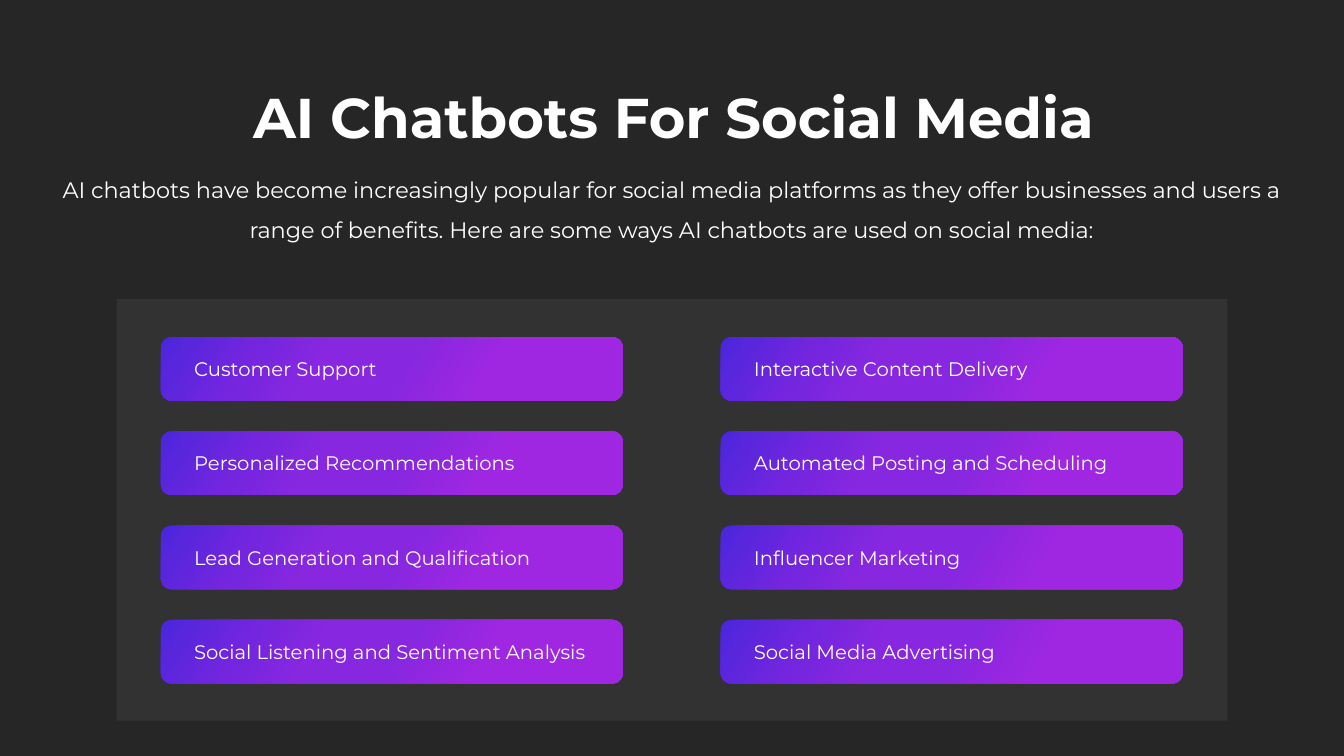
from lxml.etree import SubElement
from pptx import Presentation
from pptx.dml.color import RGBColor
from pptx.enum.shapes import MSO_SHAPE
from pptx.enum.text import MSO_ANCHOR, MSO_AUTO_SIZE, PP_ALIGN
from pptx.oxml import parse_xml
from pptx.oxml.ns import nsdecls, qn
from pptx.util import Inches, Pt

COLORS = {"back": "262626", "white": "FFFFFF", "blue": "4826DC", "indigo": "5826DD",
          "violet": "7326DE", "purple": "8827E0", "orchid": "A027E1"}
STOPS = [(0, "blue"), (6, "indigo"), (20, "violet"), (35, "purple"),
         (52, "purple"), (71, "orchid"), (100, "orchid")]
USES = [
    ["Customer Support", "Personalized Recommendations",
     "Lead Generation and Qualification", "Social Listening and Sentiment Analysis"],
    ["Interactive Content Delivery", "Automated Posting and Scheduling",
     "Influencer Marketing", "Social Media Advertising"],
]


def color(name):
    return RGBColor.from_string(COLORS[name])


def write(frame, text, size=14, bold=False, align=PP_ALIGN.LEFT,
          anchor=MSO_ANCHOR.TOP, lead=1.0, indent=0):
    frame.word_wrap = True
    frame.auto_size = MSO_AUTO_SIZE.NONE
    frame.vertical_anchor = anchor
    frame.text = text
    para = frame.paragraphs[0]
    para.alignment = align
    para.line_spacing = lead
    para.space_before = Pt(0)
    props = para._p.get_or_add_pPr()
    props.set("marL", str(Inches(indent)))
    props.set("indent", "0")
    SubElement(props, qn("a:buNone"))
    font = para.runs[0].font
    font.name = "Montserrat"
    font.size = Pt(size)
    font.bold = bold
    font.color.rgb = color("white")


class Deck:
    def __init__(self, width, height):
        self.show = Presentation()
        self.show.slide_width = Inches(width)
        self.show.slide_height = Inches(height)
        self.slide = self.show.slides.add_slide(self.show.slide_layouts[1])
        fill = self.slide.background.fill
        fill.solid()
        fill.fore_color.rgb = color("back")

    def area(self, left, top, width, height):
        col = self.show.slide_width / 100
        row = self.show.slide_height / 100
        return [round(n) for n in (left * col, top * row, width * col, height * row)]

    def holder(self, index, box, text, **style):
        shape = self.slide.placeholders[index]
        shape.left, shape.top, shape.width, shape.height = self.area(*box)
        write(shape.text_frame, text, align=PP_ALIGN.CENTER, **style)

    def block(self, kind, box):
        shape = self.slide.shapes.add_shape(kind, *self.area(*box))
        shape.shadow.inherit = False
        shape.line.fill.background()
        return shape

    def panel(self, box, alpha):
        shape = self.block(MSO_SHAPE.RECTANGLE, box)
        shape.fill.solid()
        shape.fill.fore_color.rgb = color("white")
        tint = shape._element.spPr.find(".//" + qn("a:srgbClr"))
        SubElement(tint, qn("a:alpha"), val=str(alpha * 1000))

    def card(self, box, text):
        shape = self.block(MSO_SHAPE.ROUNDED_RECTANGLE, box)
        stops = "".join(f'<a:gs pos="{pos * 1000}"><a:srgbClr val="{COLORS[name]}"/></a:gs>'
                        for pos, name in STOPS)
        blend = parse_xml(f'<a:gradFill {nsdecls("a")} rotWithShape="1"><a:gsLst>{stops}</a:gsLst>'
                          f'<a:lin ang="{33 * 60000}" scaled="0"/></a:gradFill>')
        shape._element.spPr.find(qn("a:prstGeom")).addnext(blend)
        write(shape.text_frame, text, anchor=MSO_ANCHOR.MIDDLE, indent=0.2)


def main():
    deck = Deck(13.33, 7.5)
    deck.holder(0, (9.5, 10.3, 81.2, 10.3), "AI Chatbots For Social Media", size=40, bold=True)
    deck.holder(1, (3, 20.8, 94, 11.5),
                "AI chatbots have become increasingly popular for social media platforms as they "
                "offer businesses and users a range of benefits. Here are some ways AI chatbots "
                "are used on social media:", size=16, lead=1.5)
    deck.panel((8.68, 39.57, 82.65, 55.77), 6)
    for col, names in enumerate(USES):
        for row, name in enumerate(names):
            deck.card((11.97 + 41.65 * col, 44.6 + 12.47 * row, 34.37, 8.4), name)
    deck.show.save("out.pptx")


if __name__ == "__main__":
    main()
